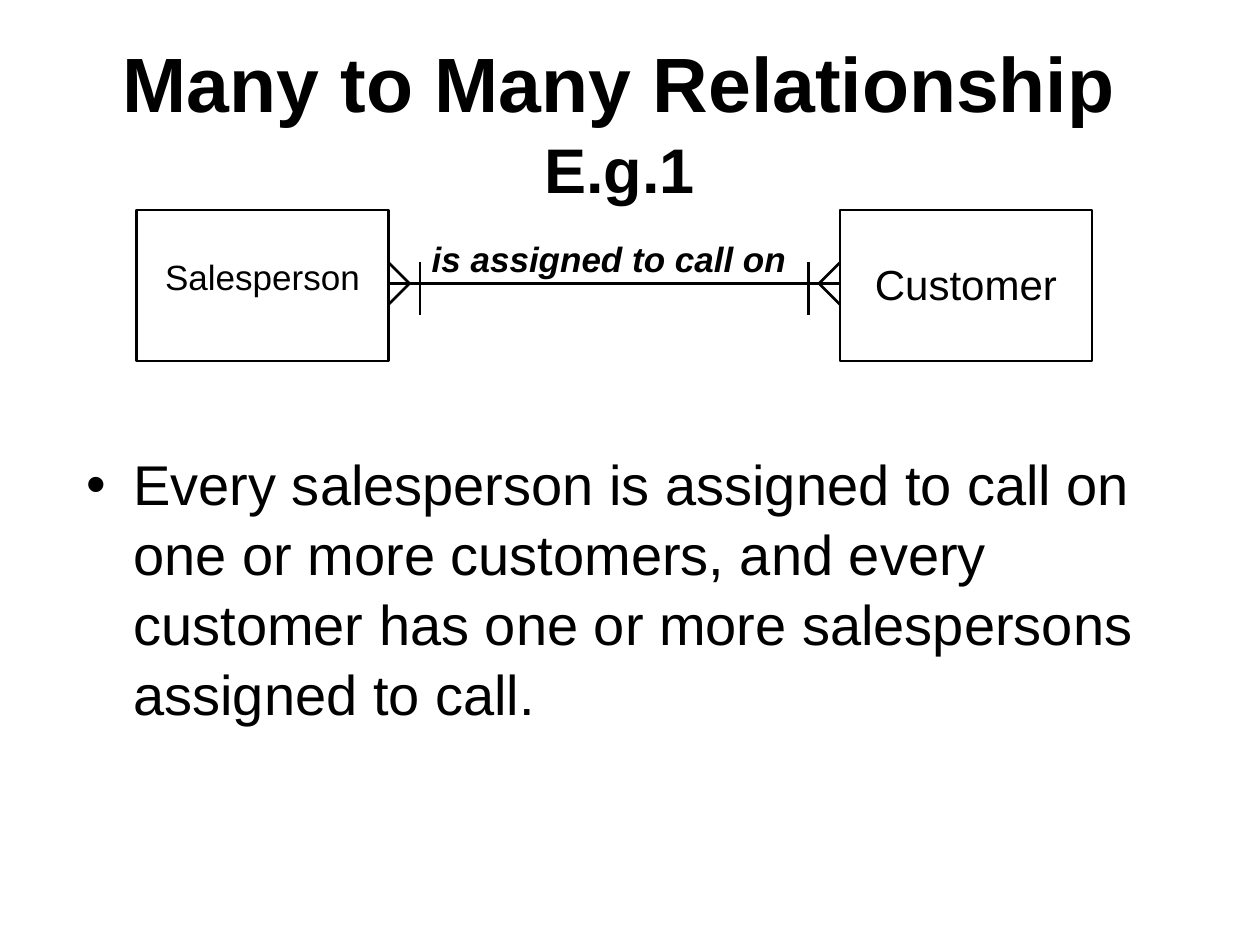
from pptx import Presentation
from pptx.dml.color import RGBColor
from pptx.enum.shapes import MSO_CONNECTOR, MSO_SHAPE
from pptx.enum.text import MSO_ANCHOR, MSO_AUTO_SIZE, PP_ALIGN
from pptx.oxml.ns import qn
from pptx.util import Pt
from lxml.etree import SubElement

COLORS = {"ink": "000000", "paper": "FFFFFF"}
TITLE = [("Many to Many Relationship", 44), ("E.g.1", 36)]
BODY = ("Every salesperson is assigned to call on one or more customers, "
        "and every customer has one or more salespersons assigned to call.")
TITLE_AREA = (48, 24, 612, 88)
BODY_AREA = (42, 252, 648, 216)
BOX_TOP, BOX_WIDTH, BOX_HEIGHT = 120, 144, 86.4
ENTITY_LEFTS = [78, 480]
LABELS = [
    ("Salesperson", (84, 142.5, 132, 31), {"size": Pt(20)}),
    ("Customer", (480, 144, 144, 36), {"size": Pt(24)}),
    ("is assigned to call on", (234, 132, 228, 31),
     {"size": Pt(20), "bold": True, "italic": True}),
]
AXIS = 162
FOOT = 12
BAR_OFFSET = 18
LINE_WIDTH = 1.5
LINE_SPACING = 1.04


def color(name):
    return RGBColor.from_string(COLORS[name])


def set_all(target, values):
    for name, value in values.items():
        setattr(target, name, value)


def style_run(run, values):
    set_all(run.font, {"name": "Arial", **values})
    run.font.color.rgb = color("ink")


def style_line(line):
    line.width = Pt(LINE_WIDTH)
    line.color.rgb = color("ink")


def place(shape, area):
    set_all(shape, dict(zip(("left", "top", "width", "height"), map(Pt, area))))


def add_line(slide, *points):
    connector = slide.shapes.add_connector(MSO_CONNECTOR.STRAIGHT, *map(Pt, points))
    style_line(connector.line)
    SubElement(connector._element.spPr, qn("a:effectLst"))


def add_entity(slide, left):
    shape = slide.shapes.add_shape(
        MSO_SHAPE.RECTANGLE, Pt(left), Pt(BOX_TOP), Pt(BOX_WIDTH), Pt(BOX_HEIGHT))
    shape.shadow.inherit = False
    shape.fill.solid()
    shape.fill.fore_color.rgb = color("paper")
    style_line(shape.line)


def add_label(slide, text, area, font):
    frame = slide.shapes.add_textbox(*map(Pt, area)).text_frame
    frame.word_wrap = True
    paragraph = frame.paragraphs[0]
    paragraph.alignment = PP_ALIGN.CENTER
    run = paragraph.add_run()
    run.text = text
    style_run(run, font)


def add_crow_foot(slide, edge, direction):
    tip = edge + direction * FOOT
    bar = edge + direction * BAR_OFFSET
    for side in (-1, 1):
        add_line(slide, edge, AXIS + side * FOOT, tip, AXIS)
    add_line(slide, bar, AXIS - FOOT, bar, AXIS + 18)


def fill_title(title):
    place(title, TITLE_AREA)
    set_all(title.text_frame, {"vertical_anchor": MSO_ANCHOR.MIDDLE,
                               "auto_size": MSO_AUTO_SIZE.NONE})
    paragraph = title.text_frame.paragraphs[0]
    set_all(paragraph, {"alignment": PP_ALIGN.CENTER, "line_spacing": LINE_SPACING})
    for index, (text, size) in enumerate(TITLE):
        if index:
            paragraph.add_line_break()
        run = paragraph.add_run()
        run.text = text
        style_run(run, {"size": Pt(size), "bold": True})


def fill_body(body):
    place(body, BODY_AREA)
    body.text_frame.auto_size = MSO_AUTO_SIZE.NONE
    paragraph = body.text_frame.paragraphs[0]
    paragraph.line_spacing = LINE_SPACING
    run = paragraph.add_run()
    run.text = BODY
    style_run(run, {"size": Pt(32)})


def main():
    presentation = Presentation()
    set_all(presentation, {"slide_width": Pt(720), "slide_height": Pt(540)})
    slide = presentation.slides.add_slide(presentation.slide_layouts[1])
    fill_title(slide.shapes.title)
    fill_body(slide.placeholders[1])
    for left in ENTITY_LEFTS:
        add_entity(slide, left)
    start, end = ENTITY_LEFTS[0] + BOX_WIDTH, ENTITY_LEFTS[1]
    add_line(slide, start, AXIS, end, AXIS)
    for edge, direction in ((start, 1), (end, -1)):
        add_crow_foot(slide, edge, direction)
    for label in LABELS:
        add_label(slide, *label)
    presentation.save("out.pptx")


if __name__ == "__main__":
    main()
